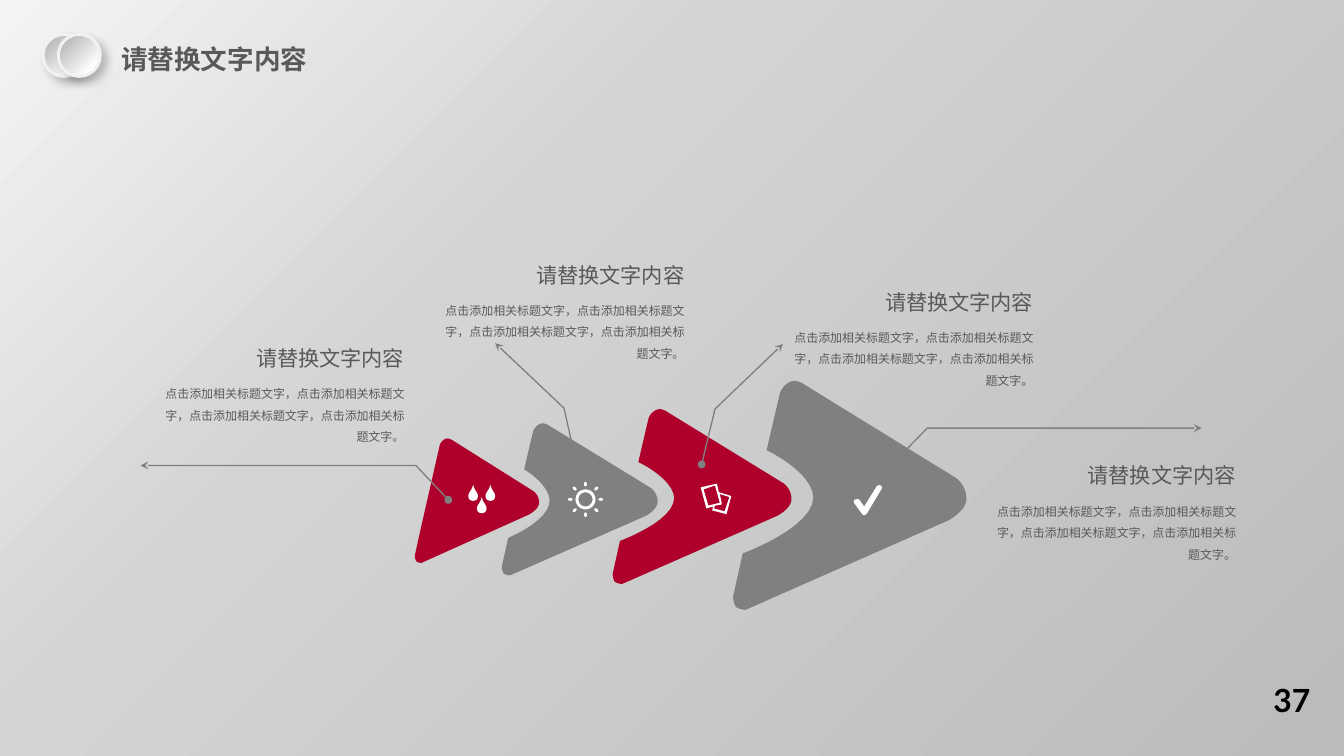
from math import cos, radians, sin

from lxml.etree import SubElement
from pptx import Presentation
from pptx.dml.color import RGBColor
from pptx.enum.shapes import MSO_SHAPE
from pptx.enum.text import MSO_ANCHOR, MSO_AUTO_SIZE, PP_ALIGN
from pptx.oxml.ns import qn
from pptx.util import Inches, Pt

GRAY, RED, WHITE, TEXT = "808080", "AE002B", "FFFFFF", "595959"
HEADING = "请替换文字内容"
BODY = "点击添加相关标题文字，" * 3 + "点击添加相关标题文字。"

ARROW_WIDTH, ARROW_HEIGHT = 2.44, 2.41
ARROWS = [
    (7.67, 3.97, 2.44, 2.41, GRAY, 0.84),
    (6.41, 4.27, 1.87, 1.84, RED, 0.84),
    (5.25, 4.42, 1.63, 1.6, GRAY, 0.75),
    (4.34, 4.58, 1.3, 1.31, RED, None),
]
LEADERS = [
    [(9.35, 4.84), (9.7, 4.48), (12.57, 4.48)],
    [(4.69, 5.23), (4.35, 4.87), (1.47, 4.87)],
    [(7.34, 4.86), (7.48, 4.28), (8.19, 3.6)],
    [(6.03, 4.85), (5.9, 4.27), (5.18, 3.59)],
]
CAPTIONS = [(1.32, 3.55), (4.25, 2.68), (7.9, 2.96), (10.02, 4.78)]
DROP = [
    (0, 0),
    (-0.01, 0.06, -0.05, 0.08, -0.05, 0.12),
    (-0.05, 0.15, -0.03, 0.17, 0, 0.17),
    (0.03, 0.17, 0.05, 0.15, 0.05, 0.12),
    (0.05, 0.08, 0.01, 0.06, 0, 0),
]
CARDS = [
    [(0.32, 0.13), (0.19, 0.09), (0.17, 0), (0, 0.04), (0.06, 0.26),
     (0.13, 0.24), (0.12, 0.28), (0.27, 0.32)],
    [(0.03, 0.06), (0.15, 0.02), (0.2, 0.2), (0.08, 0.23)],
    [(0.25, 0.29), (0.14, 0.26), (0.15, 0.23), (0.22, 0.22),
     (0.22, 0.2), (0.2, 0.11), (0.3, 0.14)],
]
CHECK = [
    (0.11, 0.32),
    (0.1, 0.32, 0.09, 0.31, 0.09, 0.31),
    (0.01, 0.2),
    (0, 0.19, 0, 0.17, 0.01, 0.16),
    (0.03, 0.15, 0.05, 0.15, 0.06, 0.16),
    (0.11, 0.23),
    (0.24, 0.02),
    (0.25, 0.01, 0.27, 0, 0.28, 0.01),
    (0.3, 0.02, 0.3, 0.04, 0.29, 0.05),
    (0.14, 0.3),
    (0.13, 0.31, 0.12, 0.32, 0.11, 0.32),
]


def color(value):
    return RGBColor.from_string(value)


def paint(shape, fill):
    shape.shadow.inherit = False
    shape.fill.solid()
    shape.fill.fore_color.rgb = color(fill)
    shape.line.fill.background()


def paint_gradient(fill, element, stops):
    fill.gradient()
    fill.gradient_angle = 315
    stop_list = element.xpath(".//a:gsLst")[0]
    for stop in list(stop_list):
        stop_list.remove(stop)
    for position, value in stops:
        stop = SubElement(stop_list, qn("a:gs"), pos=str(position * 1000))
        SubElement(stop, qn("a:srgbClr"), val=value)


def flatten(contour, steps=12):
    points = [contour[0]]
    for part in contour[1:]:
        if len(part) == 2:
            points.append(part)
            continue
        corners = [points[-1], part[:2], part[2:4], part[4:]]
        for step in range(1, steps + 1):
            t = step / steps
            weights = ((1 - t) ** 3, 3 * t * (1 - t) ** 2, 3 * t * t * (1 - t), t ** 3)
            points.append(tuple(
                sum(weight * corner[axis] for weight, corner in zip(weights, corners))
                for axis in (0, 1)
            ))
    return points


def add_outline(page, left, top, contours, scale_x=1, scale_y=1, closed=True):
    builder = None
    for contour in contours:
        points = [(Inches(left + x * scale_x), Inches(top + y * scale_y))
                  for x, y in flatten(contour)]
        if builder is None:
            builder = page.shapes.build_freeform(*points[0])
        else:
            builder.move_to(*points[0])
        builder.add_line_segments(points[1:], close=closed)
    return builder.convert_to_shape()


def add_text(page, left, top, width, height, text, size, font, fill=TEXT, bold=False,
             align=PP_ALIGN.LEFT, anchor=MSO_ANCHOR.TOP, spacing=None,
             margins=(0.1, 0.05), wrap=True, grow=False):
    box = page.shapes.add_textbox(Inches(left), Inches(top), Inches(width), Inches(height))
    frame = box.text_frame
    frame.word_wrap = wrap
    frame.auto_size = MSO_AUTO_SIZE.SHAPE_TO_FIT_TEXT if grow else MSO_AUTO_SIZE.NONE
    frame.vertical_anchor = anchor
    frame.margin_left = frame.margin_right = Inches(margins[0])
    frame.margin_top = frame.margin_bottom = Inches(margins[1])
    para = frame.paragraphs[0]
    para.alignment = align
    para.line_spacing = spacing
    span = para.add_run()
    span.text = text
    span.font.size = Pt(size)
    span.font.name = font
    span.font.bold = bold
    span.font.color.rgb = color(fill)


def add_arrow(page, left, top, width, height, fill, notch):
    hollow = [] if notch is None else [
        (0.1, 1.82, notch, 1.55, notch, 1.23),
        (notch - 0.02, 0.96, 0.35, 0.74, 0.35, 0.74),
    ]
    contour = [
        (2.44, 1.25),
        (2.44, 1.38, 2.24, 1.48, 2.24, 1.48),
        (0.13, 2.41),
        (0.13, 2.41, 0.07, 2.41, 0.03, 2.38),
        (0, 2.34, 0, 2.27, 0, 2.27),
        (0.1, 1.82),
        *hollow,
        (0.49, 0.14),
        (0.49, 0.14, 0.52, 0.05, 0.61, 0.02),
        (0.67, 0, 0.74, 0.05, 0.74, 0.05),
        (2.33, 1.03),
        (2.33, 1.03, 2.44, 1.1, 2.44, 1.25),
    ]
    paint(add_outline(page, left, top, [contour], width / ARROW_WIDTH,
                      height / ARROW_HEIGHT), fill)


def add_leader(page, points):
    leader = add_outline(page, 0, 0, [points], closed=False)
    leader.shadow.inherit = False
    leader.fill.background()
    leader.line.color.rgb = color(GRAY)
    leader.line.width = Pt(1)
    line = leader.line._get_or_add_ln()
    SubElement(line, qn("a:headEnd"), type="oval")
    SubElement(line, qn("a:tailEnd"), type="stealth")


def add_sun(page, left, top, size):
    def place(kind, x, y, width, height):
        shape = page.shapes.add_shape(kind, Inches(x - width / 2), Inches(y - height / 2),
                                      Inches(width), Inches(height))
        paint(shape, WHITE)
        return shape

    center_x, center_y = left + size / 2, top + size / 2
    place(MSO_SHAPE.DONUT, center_x, center_y, 0.21, 0.21).adjustments[0] = 0.14
    for angle in range(0, 360, 45):
        x = center_x + 0.16 * cos(radians(angle))
        y = center_y + 0.16 * sin(radians(angle))
        place(MSO_SHAPE.OVAL, x, y, 0.05, 0.03).rotation = angle


def add_icons(page):
    for left, top in [(4.95, 5.07), (5.13, 5.07), (5.04, 5.2)]:
        paint(add_outline(page, left, top, [DROP]), WHITE)
    add_sun(page, 5.94, 5.04, 0.37)
    paint(add_outline(page, 7.33, 5.06, CARDS), WHITE)
    paint(add_outline(page, 8.93, 5.07, [CHECK]), WHITE)


def add_caption(page, left, top):
    add_text(page, left, top, 2.91, 0.39, HEADING, 16, "Lato", align=PP_ALIGN.RIGHT,
             anchor=MSO_ANCHOR.MIDDLE, margins=(0, 0.11))
    add_text(page, left + 0.4, top + 0.42, 2.51, 0.63, BODY, 9, "Arial",
             align=PP_ALIGN.RIGHT, spacing=1.5, margins=(0, 0))


def add_header(page, left, top):
    add_text(page, left + 0.72, top + 0.04, 2.17, 0.44, HEADING, 20, "Calibri",
             bold=True, wrap=False, grow=True)
    for offset in (0, 0.16):
        disc = page.shapes.add_shape(MSO_SHAPE.OVAL, Inches(left + offset), Inches(top),
                                     Inches(0.44), Inches(0.44))
        paint_gradient(disc.fill, disc._element,
                       [(20, "BFBFBF"), (80, WHITE), (100, WHITE)])
        disc.line.color.rgb = color("F2F2F2")
        disc.line.width = Pt(2.25)
        disc.shadow.inherit = False
        effects = disc._element.spPr.find(qn("a:effectLst"))
        shadow = SubElement(effects, qn("a:outerShdw"), blurRad=str(Pt(7)),
                            dist=str(Pt(5.9)), dir="2700000", algn="tl", rotWithShape="0")
        tint = SubElement(shadow, qn("a:srgbClr"), val="000000")
        SubElement(tint, qn("a:alpha"), val="23000")


def main():
    deck = Presentation()
    deck.slide_width, deck.slide_height = Inches(14.06), Inches(7.91)
    page = deck.slides.add_slide(deck.slide_layouts[6])
    paint_gradient(page.background.fill, page._element,
                   [(0, "F4F4F4"), (35, "D4D4D4"), (100, "BABBBB")])
    for arrow in ARROWS:
        add_arrow(page, *arrow)
    for points in LEADERS:
        add_leader(page, points)
    add_icons(page)
    for left, top in CAPTIONS:
        add_caption(page, left, top)
    add_header(page, 0.45, 0.36)
    add_text(page, 13.22, 7.07, 0.59, 0.5, "37", 24, "Lato", fill="000000", bold=True,
             align=PP_ALIGN.CENTER, grow=True)
    deck.save("out.pptx")


if __name__ == "__main__":
    main()
